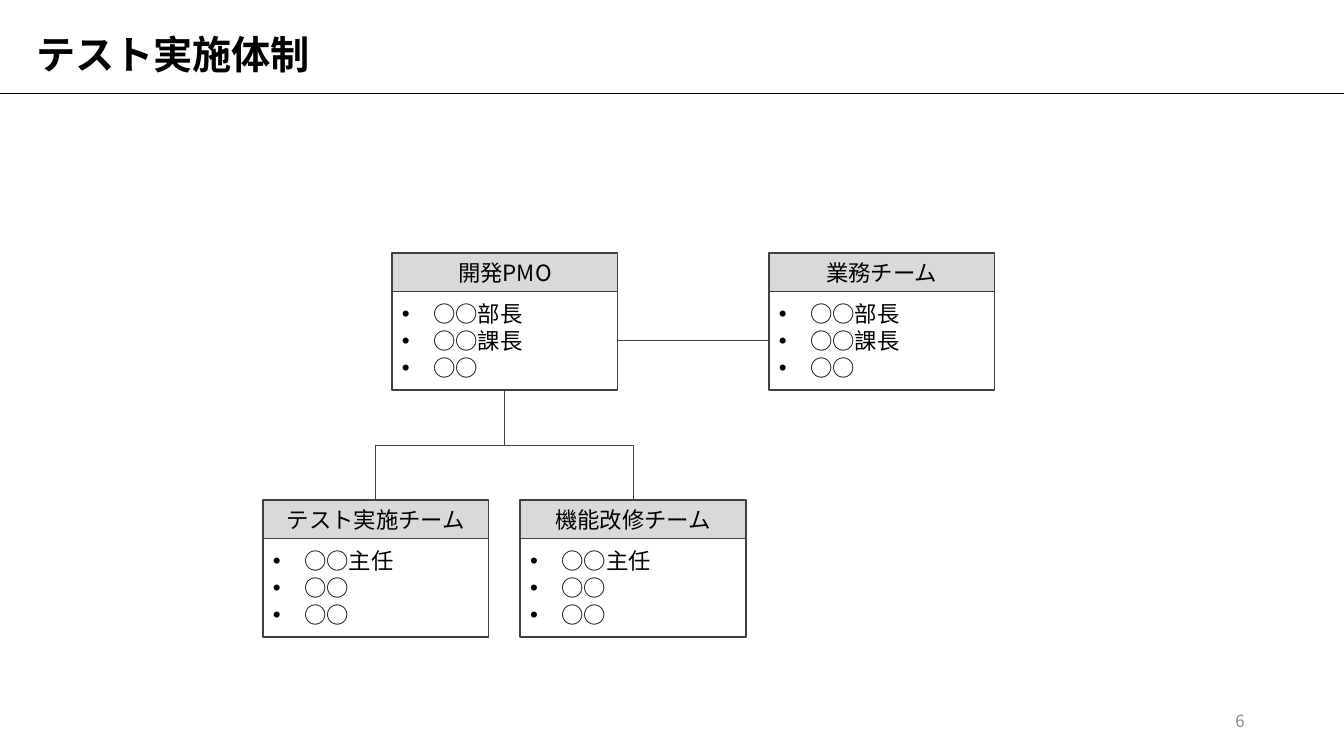
import pptx
import pptx.util
import pptx.dml.color
import pptx.enum.shapes
import pptx.enum.text
import pptx.oxml.ns
import lxml.etree

Cm = pptx.util.Cm
Pt = pptx.util.Pt
qn = pptx.oxml.ns.qn
Align = pptx.enum.text.PP_ALIGN
Link = pptx.enum.shapes.MSO_CONNECTOR
Sub = lxml.etree.SubElement
face = "Noto Sans CJK JP"


def paint(item, tone):
    if hasattr(item, "solid"):
        item.solid()
        item = item.fore_color
    item.rgb = pptx.dml.color.RGBColor.from_string(tone)


def write(shape, lines, size, tone="000000", align=Align.LEFT, bold=False, mark=None):
    frame = shape.text_frame
    frame.word_wrap = True
    frame.vertical_anchor = pptx.enum.text.MSO_ANCHOR.MIDDLE
    frame.text = "\n".join(lines)
    for par in frame.paragraphs:
        par.alignment = align
        props = par._p.get_or_add_pPr()
        if mark:
            props.set("marL", str(Cm(0.79)))
            props.set("indent", str(-Cm(0.79)))
            Sub(props, qn("a:buFont"), typeface="Arial")
            Sub(props, qn("a:buChar"), char=mark)
        par.font.size = Pt(size)
        par.font.bold = bold
        par.font.name = face
        paint(par.font.color, tone)
        Sub(props.find(qn("a:defRPr")), qn("a:ea"), typeface=face)


deck = pptx.Presentation()
deck.slide_width = Cm(33.87)
deck.slide_height = Cm(19.05)
slide = deck.slides.add_slide(deck.slide_layouts[6])
shapes = slide.shapes

title = shapes.add_textbox(Cm(0.66), Cm(0.53), Cm(32.23), Cm(1.78))
write(title, ["テスト実施体制"], 28, bold=True)
title.text_frame.paragraphs[0].line_spacing = 0.9

wide, head, body = 5.69, 0.97, 2.48
upper, lower = 6.38, 12.6
main, side = 9.88, 19.38
test, fix = 6.63, 13.11
teams = [
    (main, upper, "開発PMO", ["○○部長", "○○課長", "○○"]),
    (side, upper, "業務チーム", ["○○部長", "○○課長", "○○"]),
    (test, lower, "テスト実施チーム", ["○○主任", "○○", "○○"]),
    (fix, lower, "機能改修チーム", ["○○主任", "○○", "○○"]),
]
for left, top, name, staff in teams:
    parts = [
        (top, head, "D9D9D9", [name], Align.CENTER, None),
        (top + head, body, "FFFFFF", staff, Align.LEFT, "•"),
    ]
    for y, high, tone, lines, align, mark in parts:
        box = shapes.add_shape(
            pptx.enum.shapes.MSO_SHAPE.RECTANGLE, Cm(left), Cm(y), Cm(wide), Cm(high)
        )
        box.shadow.inherit = False
        paint(box.fill, tone)
        paint(box.line.fill, "404040")
        box.line.width = Pt(1)
        write(box, lines, 16, align=align, mark=mark)

base = upper + head + body
level = upper + head + body / 2
stem = main + wide / 2
drop = lower - base
mid = base + drop / 2
links = [
    (Link.STRAIGHT, 0, 2.34, 33.87, 2.34, "000000", 0.5, 0),
    (Link.STRAIGHT, main + wide, level, side, level, "404040", 0.75, 0),
]
for left, turn in [(test, 90), (fix, 270)]:
    end = left + wide / 2
    half = abs(end - stem) / 2
    center = (stem + end) / 2
    reach = drop / 2 if turn == 90 else -drop / 2
    links.append((Link.ELBOW, center - reach, mid - half, center + reach, mid + half,
                  "404040", 0.75, turn))
for kind, x1, y1, x2, y2, tone, thick, turn in links:
    link = shapes.add_connector(kind, Cm(x1), Cm(y1), Cm(x2), Cm(y2))
    paint(link.line.fill, tone)
    link.line.width = Pt(thick)
    props = link._element.spPr
    Sub(props, qn("a:effectLst"))
    if turn:
        props.find(qn("a:xfrm")).set("rot", str(turn * 60000))

number = shapes.add_textbox(Cm(24), Cm(17.65), Cm(7.62), Cm(1.02))
write(number, ["6"], 12, "8C8C8C", Align.RIGHT)

deck.save("out.pptx")
